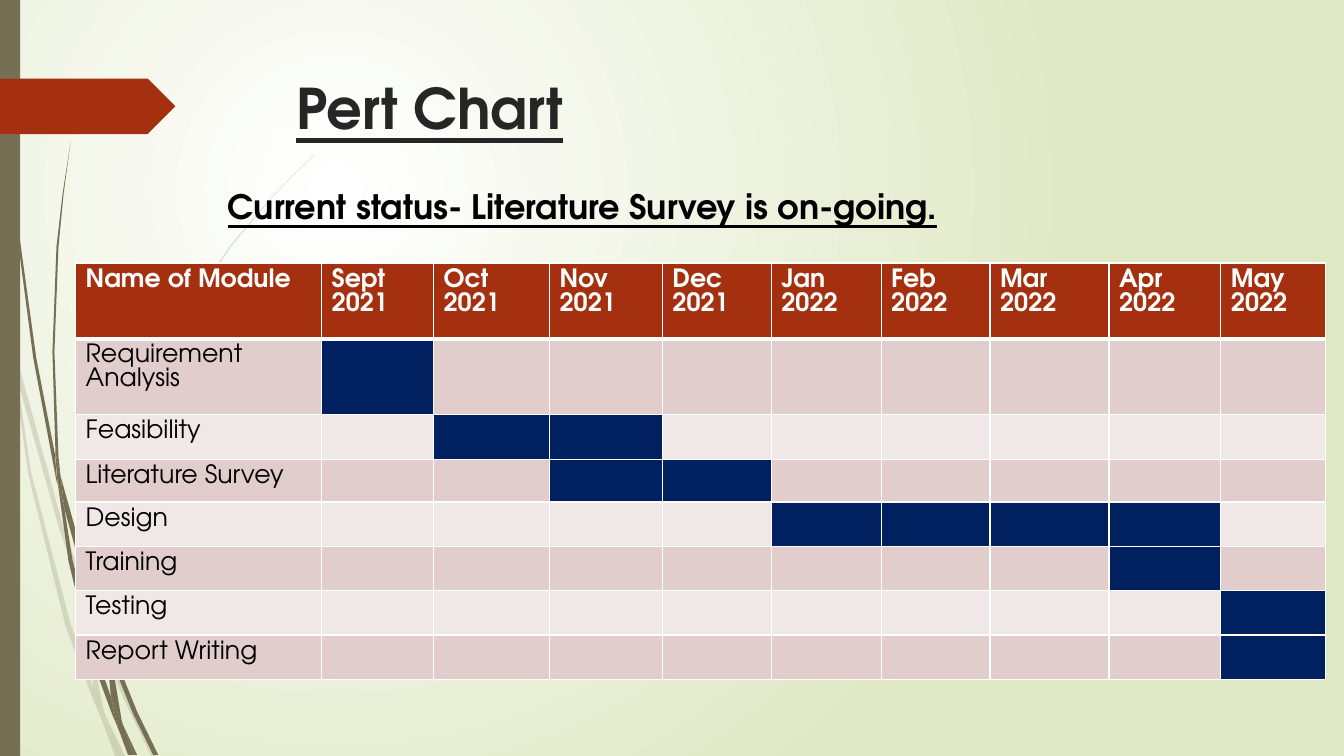
import pptx
import pptx.dml.color
import pptx.enum.shapes
import pptx.enum.text
import pptx.oxml
import pptx.oxml.ns
import pptx.util
from lxml import etree

Inches, Pt = pptx.util.Inches, pptx.util.Pt
FONT = "TeX Gyre Adventor"
OLIVE, RUST, NAVY, WHITE = "766F54", "A53010", "002060", "FFFFFF"
BANDS = ("E1CDCC", "F0E8E7")

TITLE = "Pert Chart"
STATUS = "Current status- Literature Survey is on-going."
MONTHS = ["Sept 2021", "Oct 2021", "Nov 2021", "Dec 2021", "Jan 2022",
          "Feb 2022", "Mar 2022", "Apr 2022", "May 2022"]
HEADER = ["Name of Module"] + MONTHS
# module lines, first busy month, last busy month, row height
MODULES = [
    (["Requirement ", "Analysis"], "Sept 2021", "Sept 2021", 0.75),
    (["Feasibility"], "Oct 2021", "Nov 2021", 0.45),
    (["Literature Survey"], "Nov 2021", "Dec 2021", 0.42),
    (["Design"], "Jan 2022", "Apr 2022", 0.44),
    (["Training"], "Apr 2022", "Apr 2022", 0.44),
    (["Testing"], "May 2022", "May 2022", 0.44),
    (["Report Writing"], "May 2022", "May 2022", 0.44),
]
HEADER_HEIGHT = 0.75
COLUMN_WIDTHS = [2.44, 1.11, 1.15, 1.12, 1.08, 1.09, 1.08, 1.18, 1.11, 1.04]

# Grass blades: outline corners in inches
PALE_GRASS = [
    [(.11, 3.5), (.09, 3.22), (0, 2.82), (0, 2.99), (.1, 3.44)],
    [(.58, 5.22), (.84, 5.99), (.85, 5.86), (.62, 5.2), (.14, 3.45), (.17, 3.76)],
    [(.92, 6.07), (.88, 5.96), (.88, 6.1), (1.23, 6.94), (1.5, 7.5), (1.55, 7.5),
     (1.27, 6.92)],
    [(1.19, 7.5), (1.24, 7.5), (1.05, 7.11)],
    [(.93, 6.83), (.7, 6.19), (.31, 4.69), (.17, 3.76), (.11, 3.5), (.28, 4.7),
     (.65, 6.21), (.92, 6.93), (1.01, 7.14), (.99, 7.07)],
    [(.84, 5.99), (.87, 6.46), (.93, 6.83), (.96, 6.92), (1.05, 7.11), (1.03, 7.06),
     (.91, 6.46), (.88, 6.1), (.88, 6.08)],
    [(.88, 5.84), (1.1, 4.62), (1.6, 3.49), (2.29, 2.45), (2.68, 1.98), (2.9, 1.75),
     (3.12, 1.54), (3.12, 1.53), (2.89, 1.75), (2.68, 1.97), (2.28, 2.44),
     (1.58, 3.48), (1.07, 4.61), (.85, 5.84), (.85, 5.86), (.88, 5.96)],
    [(1.01, 7.14), (1.14, 7.5), (1.19, 7.5)],
    [(.88, 6.08), (.88, 6.1), (.88, 5.96), (.85, 5.86), (.84, 5.99)],
    [(.96, 6.92), (.93, 6.83), (.99, 7.07), (1.01, 7.14), (1.19, 7.5), (1.05, 7.11)],
]
DARK_GRASS = [
    [(.07, 1.1), (.17, 2.33), (.33, 3.55), (.56, 4.77), (.57, 4.81), (.55, 4.57),
     (.55, 4.53), (.36, 3.55), (.19, 2.32), (.08, 1.09), (.05, .48), (.04, 0),
     (.03, 0), (.04, .48)],
    [(.88, 5.92), (1.06, 6.45), (1.06, 6.33), (1.06, 6.31), (.93, 5.9), (.6, 4.72),
     (.64, 5.05)],
    [(1.13, 6.49), (1.1, 6.41), (1.11, 6.56), (1.32, 7.08), (1.52, 7.49),
     (1.57, 7.49), (1.36, 7.06)],
    [(1.1, 6.91), (.98, 6.57), (.72, 5.56), (.64, 5.05), (.57, 4.77), (.68, 5.57),
     (.93, 6.59), (1.11, 7.08), (1.17, 7.22), (1.16, 7.17)],
    [(.6, 4.72), (.58, 4.53), (.54, 3.49), (.58, 2.45), (.63, 1.93), (.7, 1.41),
     (.62, 1.93), (.56, 2.45), (.52, 3.49), (.55, 4.49)],
    [(1.33, 7.49), (1.36, 7.49), (1.22, 7.19)],
    [(.57, 4.77), (.64, 5.05), (.6, 4.72), (.55, 4.49), (.55, 4.53)],
    [(1.11, 6.33), (1.25, 5.52), (1.58, 4.76), (2.05, 4.06), (2.31, 3.74),
     (2.45, 3.59), (2.61, 3.44), (2.6, 3.44), (2.45, 3.58), (2.31, 3.73),
     (2.04, 4.05), (1.56, 4.74), (1.22, 5.51), (1.06, 6.31), (1.1, 6.41)],
    [(1.17, 7.22), (1.27, 7.49), (1.31, 7.49)],
    [(1.06, 6.45), (1.1, 6.91), (1.16, 7.06), (1.22, 7.19), (1.21, 7.16),
     (1.11, 6.56), (1.09, 6.51)],
    [(1.06, 6.45), (1.09, 6.51), (1.11, 6.56), (1.1, 6.41), (1.06, 6.31), (1.06, 6.33)],
    [(1.16, 7.06), (1.1, 6.91), (1.16, 7.17), (1.17, 7.22), (1.3, 7.49), (1.33, 7.49),
     (1.22, 7.19)],
]


def rgb(code):
    """Turn a hex string into a colour."""
    return pptx.dml.color.RGBColor.from_string(code)


def child(parent, tag, **attributes):
    """Append a DrawingML element and return it."""
    element = etree.SubElement(parent, pptx.oxml.ns.qn("a:" + tag))
    for key, value in attributes.items():
        element.set(key, str(value))
    return element


def paint(shape, color, opacity=100):
    """Give a shape a plain fill without line or shadow."""
    shape.shadow.inherit = False
    shape.line.fill.background()
    shape.fill.solid()
    shape.fill.fore_color.rgb = rgb(color)
    if opacity < 100:
        fill = shape.fill.fore_color._xFill
        child(fill[0], "alpha", val=opacity * 1000)


def write(paragraph, text, size, color, bold=False, underline=False):
    """Add one formatted run."""
    paragraph.alignment = pptx.enum.text.PP_ALIGN.LEFT
    run = paragraph.add_run()
    run.text = text
    run.font.name, run.font.size = FONT, Pt(size)
    run.font.bold, run.font.underline = bold, underline
    run.font.color.rgb = rgb(color)


def place(shape, left, top, width, height):
    """Set position and size in inches."""
    shape.left, shape.top = Inches(left), Inches(top)
    shape.width, shape.height = Inches(width), Inches(height)


def paint_background(slide):
    """Fill the background with a circular gradient."""
    fill = slide.background.fill
    fill.gradient()
    for stop, color in zip(fill.gradient_stops, (WHITE, "DFE8C4")):
        stop.color.rgb = rgb(color)
    gradient = slide.background._cSld.bg.bgPr.find(pptx.oxml.ns.qn("a:gradFill"))
    gradient.remove(gradient.find(pptx.oxml.ns.qn("a:lin")))
    circle = child(gradient, "path", path="circle")
    child(circle, "fillToRect", l=50000, t=50000, r=100000, b=100000)


def draw_grass(slide, blades, opacity):
    """Draw each blade as a closed outline."""
    for blade in blades:
        corners = [(Inches(x), Inches(y)) for x, y in blade]
        outline = slide.shapes.build_freeform(*corners[0])
        outline.add_line_segments(corners[1:], close=True)
        paint(outline.convert_to_shape(), OLIVE, opacity)


def style_cell(cell, lines, fill, color, bold=False, bottom=1):
    """Fill, border and write one table cell."""
    properties = cell._tc.get_or_add_tcPr()
    for side in "LRTB":
        width = bottom if side == "B" else 1
        border = child(properties, "ln" + side, w=Pt(width))
        child(child(border, "solidFill"), "srgbClr", val=WHITE)
    cell.fill.solid()
    cell.fill.fore_color.rgb = rgb(fill)
    cell.margin_top, cell.margin_bottom = Inches(0.05), 0
    for number, line in enumerate(lines):
        frame = cell.text_frame
        paragraph = frame.add_paragraph() if number else frame.paragraphs[0]
        paragraph.line_spacing = Pt(17.1)
        write(paragraph, line, 18, color, bold)


def add_schedule(slide):
    """Add the table of modules against months."""
    heights = [HEADER_HEIGHT] + [module[-1] for module in MODULES]
    schedule = slide.shapes.add_table(
        len(heights), len(HEADER), Inches(0.75), Inches(2.61),
        Inches(sum(COLUMN_WIDTHS)), Inches(sum(heights))).table
    for column, width in zip(schedule.columns, COLUMN_WIDTHS):
        column.width = Inches(width)
    for row, height in zip(schedule.rows, heights):
        row.height = Inches(height)
    for column, heading in enumerate(HEADER):
        style_cell(schedule.cell(0, column), [heading], RUST, WHITE, True, 3)
    for row, (module, first, last, _) in enumerate(MODULES, 1):
        band = BANDS[(row - 1) % 2]
        style_cell(schedule.cell(row, 0), module, band, "000000")
        busy = range(HEADER.index(first), HEADER.index(last) + 1)
        for column in range(1, len(HEADER)):
            style_cell(schedule.cell(row, column), [],
                       NAVY if column in busy else band, "000000")


deck = pptx.Presentation()
deck.slide_width, deck.slide_height = Inches(13.33), Inches(7.5)
slide = deck.slides.add_slide(deck.slide_layouts[5])
paint_background(slide)
draw_grass(slide, PALE_GRASS, 20)
draw_grass(slide, DARK_GRASS, 100)

presets = pptx.enum.shapes.MSO_SHAPE
for preset, box, color in [(presets.RECTANGLE, (0, 0, 0.2, 7.5), OLIVE),
                           (presets.PENTAGON, (0, 0.78, 1.74, 0.55), RUST)]:
    paint(slide.shapes.add_shape(preset, *map(Inches, box)), color)

title = slide.shapes.title
place(title, 2.84, 0.68, 9.75, 1.4)
title.text_frame.vertical_anchor = pptx.enum.text.MSO_ANCHOR.TOP
title.text_frame.auto_size = pptx.enum.text.MSO_AUTO_SIZE.NONE
write(title.text_frame.paragraphs[0], TITLE, 40, "262626", True, True)

add_schedule(slide)

status = slide.shapes.add_textbox(*map(Inches, (2.16, 1.8, 11.09, 0.5)))
status.text_frame.word_wrap = True
status.text_frame.auto_size = pptx.enum.text.MSO_AUTO_SIZE.SHAPE_TO_FIT_TEXT
write(status.text_frame.paragraphs[0], STATUS, 24, "000000", True, True)

deck.save("out.pptx")
